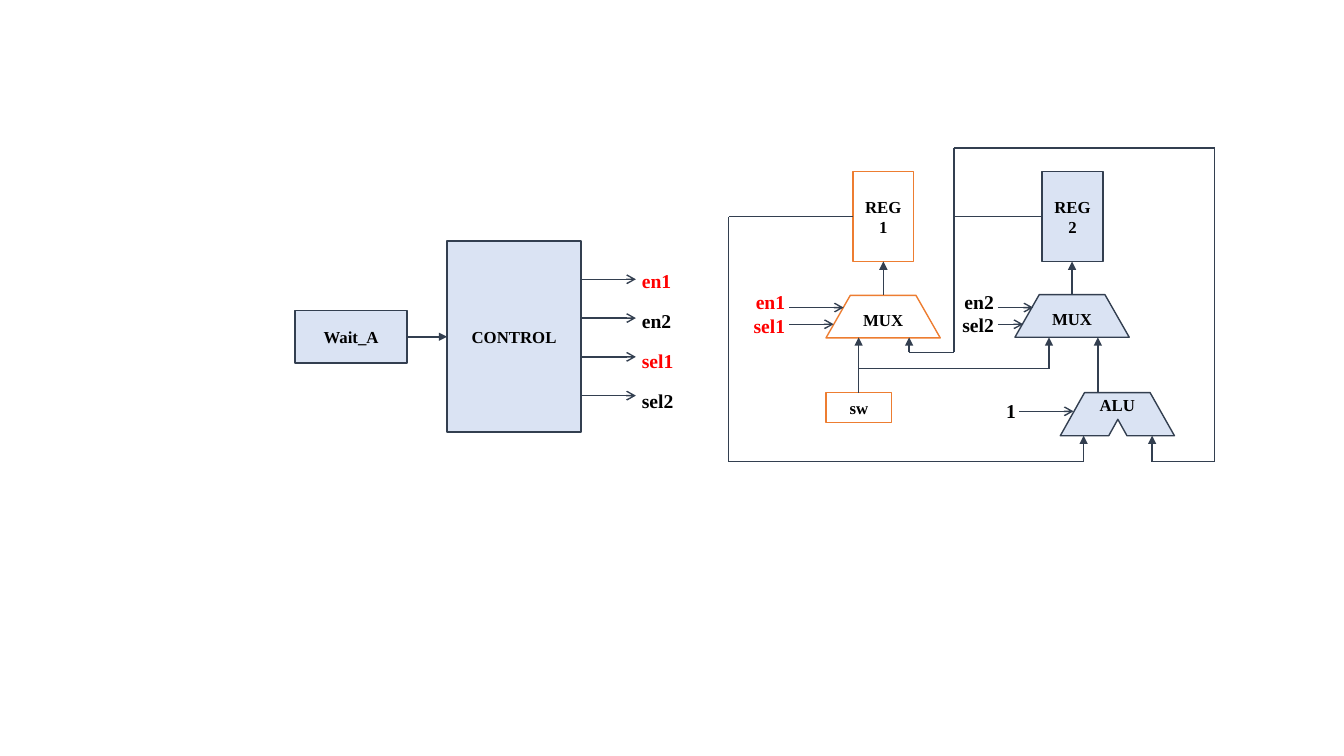
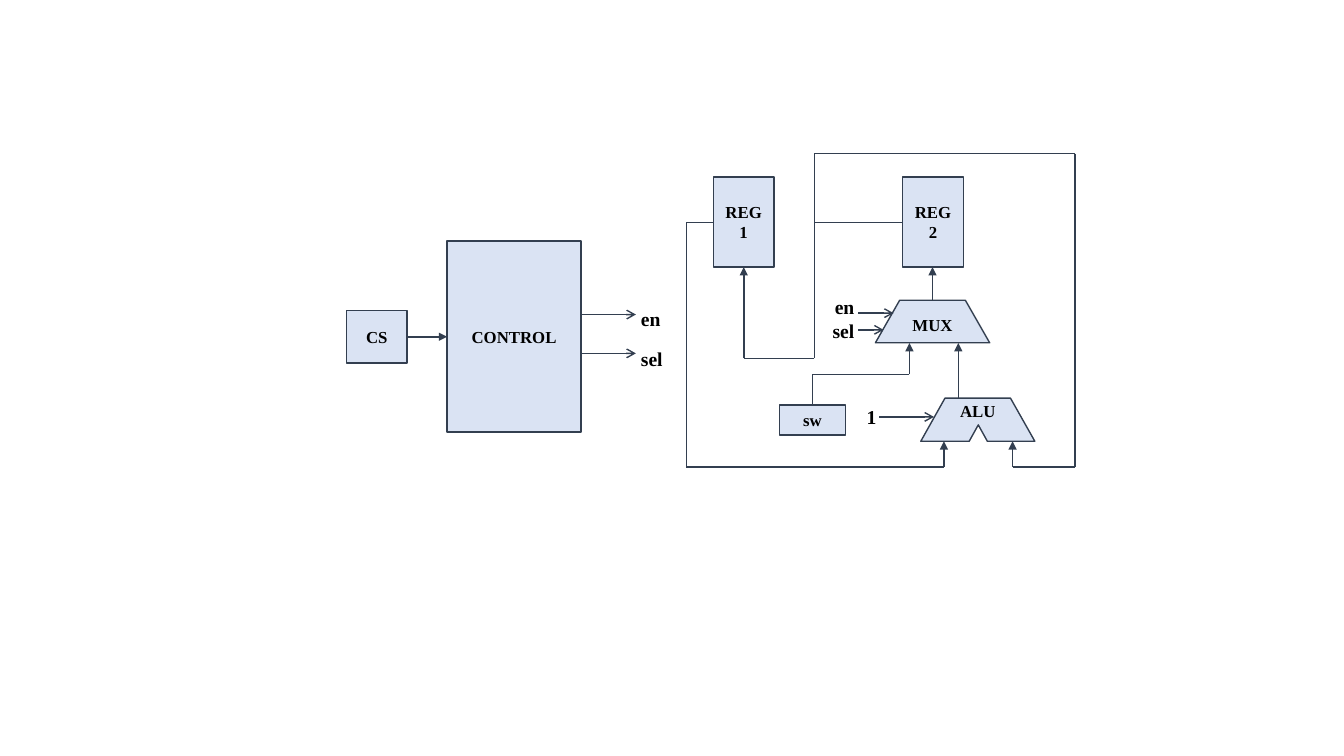
from lxml import etree
from pptx import Presentation
from pptx.dml.color import RGBColor
from pptx.enum.shapes import MSO_CONNECTOR, MSO_SHAPE
from pptx.enum.text import MSO_ANCHOR, PP_ALIGN
from pptx.oxml.ns import qn
from pptx.util import Pt

COLORS = {k: RGBColor.from_string(v) for k, v in {
    "line": "333F50", "fill": "DAE3F3", "active_line": "ED7D31",
    "active_fill": "FFFFFF", "text": "000000", "active_text": "FF0000"}.items()}
FONT = "Times New Roman"

prs = Presentation()
prs.slide_width, prs.slide_height = Pt(960), Pt(540)


def style_block(shape, name, active=False):
    """Fill, outline and centred bold name of a circuit block."""
    prefix = "active_" if active else ""
    shape.shadow.inherit = False
    shape.fill.solid()
    shape.fill.fore_color.rgb = COLORS[prefix + "fill"]
    shape.line.color.rgb = COLORS[prefix + "line"]
    shape.line.width = Pt(1)
    frame = shape.text_frame
    frame.word_wrap = True
    frame.vertical_anchor = MSO_ANCHOR.MIDDLE
    paragraph = frame.paragraphs[0]
    paragraph.alignment = PP_ALIGN.CENTER
    run = paragraph.add_run()
    run.text = name
    run.font.name, run.font.size, run.font.bold = FONT, Pt(12), True
    run.font.color.rgb = COLORS["text"]


def wire(slide, points, head="triangle", dx=0, dy=0, width=1):
    """Straight segments through the points, with a head on the last one."""
    for start, end in zip(points, points[1:]):
        segment = slide.shapes.add_connector(
            MSO_CONNECTOR.STRAIGHT, Pt(start[0] + dx), Pt(start[1] + dy),
            Pt(end[0] + dx), Pt(end[1] + dy))
        segment.line.color.rgb = COLORS["line"]
        segment.line.width = Pt(width)
        properties = segment._element.spPr
        etree.SubElement(properties, qn("a:effectLst"))
    etree.SubElement(properties.find(qn("a:ln")), qn("a:tailEnd"), type=head)


# Datapath geometry, before the offset of each slide
REG_TOP, REG_MID, REG_BOTTOM = 122.4, 154.8, 186.8
MUX_TOP, MUX_BOTTOM = 210.5, 241
ALU_TOP, ALU_BOTTOM = 280.4, 311.2
LOOP_TOP, LOOP_BOTTOM, LOOP_LEFT, LOOP_RIGHT = 105.8, 329.7, 681.4, 867.6
REG1_X, REG2_X, MUX1_X, MUX2_X = 609.2, 744.4, 590, 725
SW_WIRE_Y = 263.4
MUX2_IN = [(749.3, SW_WIRE_Y), (749.3, MUX_BOTTOM)]
ALU_OUTLINE = [(774.7, ALU_TOP), (821.5, ALU_TOP), (838.9, ALU_BOTTOM),
               (805, ALU_BOTTOM), (798.5, 299.5), (792, ALU_BOTTOM),
               (757.4, ALU_BOTTOM)]

# What differs between the two slides
designs = [
    dict(dx=0, dy=0, state="Wait_A", state_width=80, has_mux1=True,
         outputs=["en1", "en2", "sel1", "sel2"], outputs_at=(451.4, 177.1),
         first_output_y=199.5, selects=["en2", "sel2"], active={"en1", "sel1"},
         sw=(MUX1_X, ALU_TOP), feedback_x=520.4,
         wires=[[(613.3, ALU_TOP), (613.3, MUX_BOTTOM)],
                [(631, MUX_TOP), (631, REG_BOTTOM)],
                [(613.3, SW_WIRE_Y), *MUX2_IN],
                [(LOOP_LEFT, REG_MID), (LOOP_LEFT, 251.8), (649.4, 251.8),
                 (649.4, MUX_BOTTOM)]]),
    dict(dx=-99.7, dy=4, state="CS", state_width=43.4, has_mux1=False,
         outputs=["en", "sel"], outputs_at=(450.7, 203.8),
         first_output_y=224.7, selects=["en", "sel"], active=set(),
         sw=(656.5, 285.3), feedback_x=590,
         wires=[[(680, 285.3), (680, SW_WIRE_Y), *MUX2_IN],
                [(LOOP_LEFT, REG_MID), (LOOP_LEFT, 252), (631, 252),
                 (631, REG_BOTTOM)]]),
]

for design in designs:
    slide = prs.slides.add_slide(prs.slide_layouts[6])
    dx, dy, has_mux1 = design["dx"], design["dy"], design["has_mux1"]

    # Blocks: name, preset, left, top, width, height, active
    blocks = [
        ("REG1", MSO_SHAPE.RECTANGLE, REG1_X + dx, REG_TOP + dy, 43.4, 64.4, has_mux1),
        ("REG2", MSO_SHAPE.RECTANGLE, REG2_X + dx, REG_TOP + dy, 43.4, 64.4, False),
        ("MUX", MSO_SHAPE.TRAPEZOID, MUX2_X + dx, MUX_TOP + dy, 81.6, 30.4, False),
        ("sw", MSO_SHAPE.RECTANGLE, design["sw"][0] + dx, design["sw"][1] + dy,
         47, 21.4, has_mux1),
        ("CONTROL", MSO_SHAPE.RECTANGLE, 319.4, 172.3, 95.6, 136.4, False),
        (design["state"], MSO_SHAPE.RECTANGLE, 290.8 - design["state_width"], 221.7,
         design["state_width"], 37.6, False),
    ]
    if has_mux1:
        blocks.append(("MUX", MSO_SHAPE.TRAPEZOID, MUX1_X, MUX_TOP + 0.5, 81.6, 30.4, True))
    for name, preset, left, top, width, height, active in blocks:
        block = slide.shapes.add_shape(preset, Pt(left), Pt(top), Pt(width), Pt(height))
        if preset == MSO_SHAPE.TRAPEZOID:
            block.adjustments[0] = 0.57
        style_block(block, name, active)

    # Notched ALU, named along its upper edge
    outline = [(Pt(x + dx), Pt(y + dy)) for x, y in ALU_OUTLINE]
    builder = slide.shapes.build_freeform(*outline[0])
    builder.add_line_segments(outline[1:], close=True)
    alu = builder.convert_to_shape()
    style_block(alu, "ALU")
    alu.text_frame.vertical_anchor = MSO_ANCHOR.TOP
    alu.text_frame.margin_top = Pt(1.5)

    # Datapath wires
    for points in design["wires"] + [
            [(765.8, MUX_TOP), (765.8, REG_BOTTOM)],
            [(784.2, ALU_TOP), (784.2, MUX_BOTTOM)],
            [(REG1_X, REG_MID), (design["feedback_x"], REG_MID),
             (design["feedback_x"], LOOP_BOTTOM), (774, LOOP_BOTTOM), (774, ALU_BOTTOM)],
            [(REG2_X, REG_MID), (LOOP_LEFT, REG_MID), (LOOP_LEFT, LOOP_TOP),
             (LOOP_RIGHT, LOOP_TOP), (LOOP_RIGHT, LOOP_BOTTOM), (823, LOOP_BOTTOM),
             (823, ALU_BOTTOM)]]:
        wire(slide, points, dx=dx, dy=dy)

    # Signals into the MUXes and the ALU
    signals = [(712.8, 738, 219.7), (712.8, 730.8, 231.6), (727.9, 766.8, 293.8)]
    if has_mux1:
        signals += [(563.8, 602.6, 219.7), (563.8, 595.5, 231.6)]
    for start, end, y in signals:
        wire(slide, [(start, y), (end, y)], "arrow", dx, dy)

    # State into the controller, control signals out of it
    wire(slide, [(290.8, 240.6), (319.4, 240.6)], width=1.5)
    for i in range(len(design["outputs"])):
        y = design["first_output_y"] + 27.7 * i
        wire(slide, [(415, y), (454.2, y)], "arrow")

    # Labels: lines, left, top, width, height, alignment, line spacing
    right, left_aligned = PP_ALIGN.RIGHT, PP_ALIGN.LEFT
    labels = [
        (design["selects"], 679.7 + dx, 203.3 + dy, 37.4, 41, right, 1),
        (["1"], 711.2 + dx, 281.6 + dy, 21.6, 24.2, right, 1),
        (design["outputs"], *design["outputs_at"], 37.4,
         29.4 * len(design["outputs"]) + 1.2, left_aligned, 1.7),
    ]
    if has_mux1:
        labels.append((["en1", "sel1"], 530.6, 203.8, 37.4, 41, right, 1))
    for lines, left, top, width, height, alignment, spacing in labels:
        frame = slide.shapes.add_textbox(Pt(left), Pt(top), Pt(width), Pt(height)).text_frame
        frame.word_wrap = False
        for i, line in enumerate(lines):
            paragraph = frame.add_paragraph() if i else frame.paragraphs[0]
            paragraph.alignment, paragraph.line_spacing = alignment, float(spacing)
            run = paragraph.add_run()
            run.text = line
            run.font.name, run.font.size, run.font.bold = FONT, Pt(14), True
            run.font.color.rgb = COLORS["active_text" if line in design["active"] else "text"]

prs.save("out.pptx")
